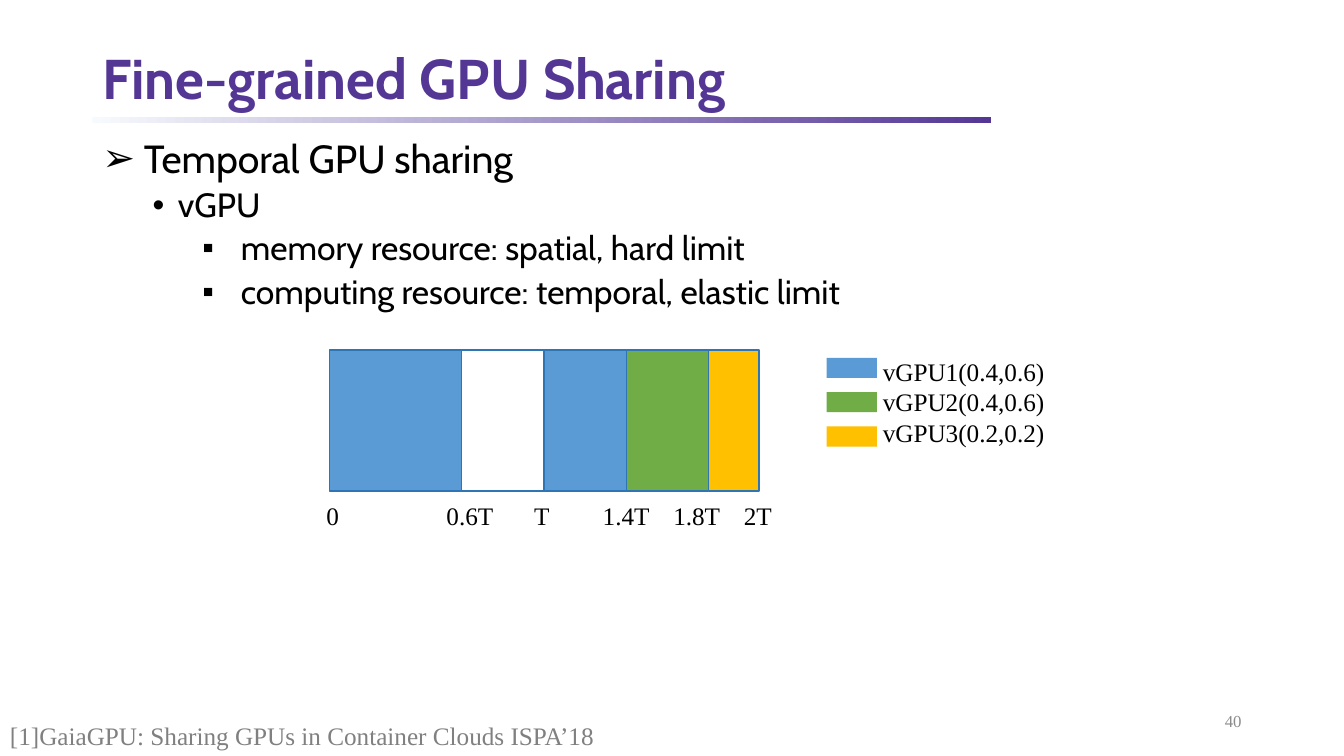
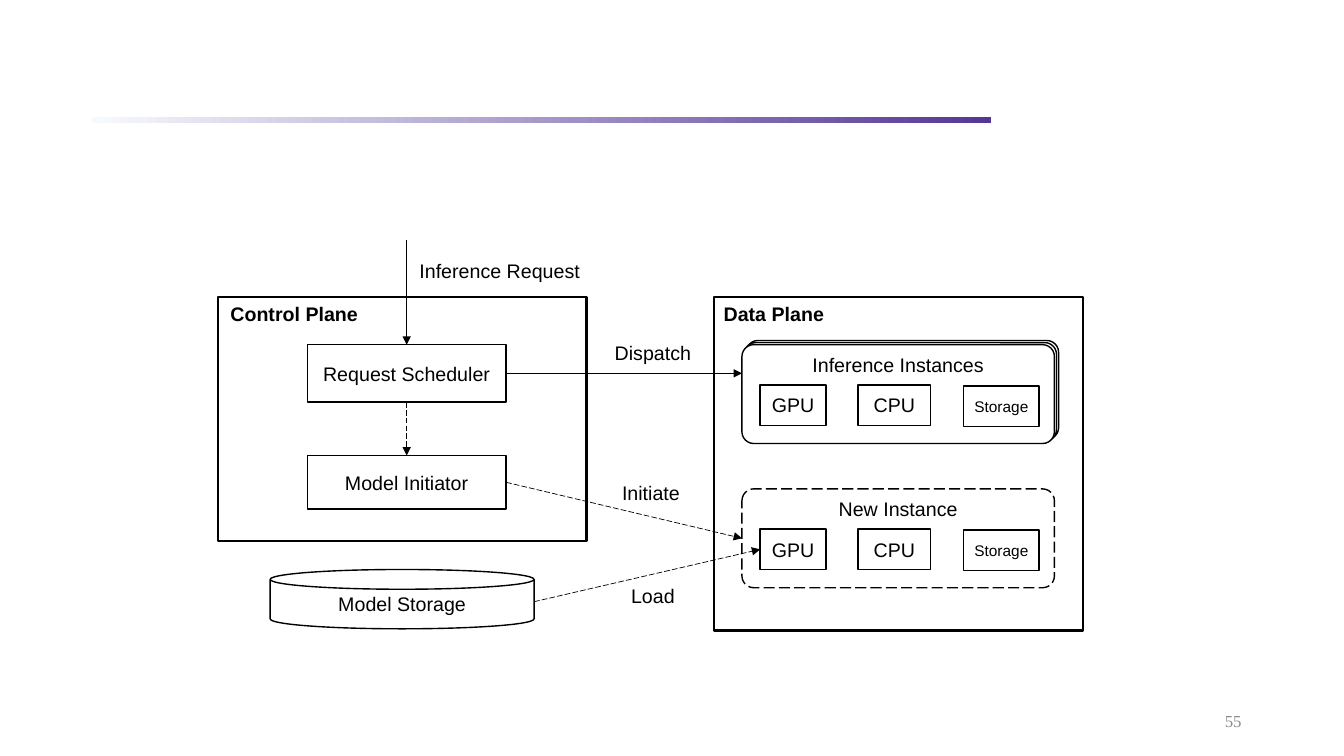
from dataclasses import dataclass

from lxml import etree
from pptx import Presentation
from pptx.dml.color import RGBColor
from pptx.enum.dml import MSO_LINE_DASH_STYLE as Dash
from pptx.enum.shapes import MSO_CONNECTOR as Conn, MSO_SHAPE as Kind
from pptx.enum.text import MSO_ANCHOR as Anchor, PP_ALIGN as Align
from pptx.oxml.ns import qn
from pptx.util import Pt


@dataclass(frozen=True)
class Theme:
    black: str = "000000"
    white: str = "FFFFFF"
    violet: str = "543795"
    pale: str = "F7FAFD"
    gray: str = "8C8C8C"
    cite: str = "808080"
    edge: str = "2E75B6"
    blue: str = "5B9BD5"
    green: str = "70AD47"
    gold: str = "FFC000"
    head: str = "Cabin"
    serif: str = "Times New Roman"
    sans: str = "Arial"
    title: int = 40
    lead: int = 28
    body: int = 24
    note: int = 18
    label: int = 14
    page: int = 12
    small: int = 11


T = Theme()


def box(slide, at, text="", kind=None, fill=None, line=None, width=1, dash=None,
        font=T.sans, size=T.label, color=T.black, bold=False,
        align=Align.LEFT, anchor=Anchor.TOP):
    """Add a shape, or a text box when no kind is given."""
    place = [Pt(v) for v in at]
    if kind is None:
        shape = slide.shapes.add_textbox(*place)
    else:
        shape = slide.shapes.add_shape(kind, *place)
        shape.shadow.inherit = False
        if fill:
            shape.fill.solid()
            shape.fill.fore_color.rgb = RGBColor.from_string(fill)
        else:
            shape.fill.background()
        if line:
            shape.line.color.rgb = RGBColor.from_string(line)
            shape.line.width = Pt(width)
            if dash:
                shape.line.dash_style = dash
        else:
            shape.line.fill.background()
        if kind == Kind.ROUNDED_RECTANGLE:
            shape.adjustments[0] = 0.12
    if text:
        frame = shape.text_frame
        frame.text = text
        frame.word_wrap = True
        frame.vertical_anchor = anchor
        if align == Align.CENTER:
            frame.margin_left = frame.margin_right = 0
        for para in frame.paragraphs:
            para.alignment = align
            for run in para.runs:
                run.font.name, run.font.size, run.font.bold = font, Pt(size), bold
                run.font.color.rgb = RGBColor.from_string(color)
    return shape


def link(slide, start, end, dash=None):
    """Draw an arrow; each end is a point or a (shape, side) pair."""
    line = slide.shapes.add_connector(Conn.STRAIGHT, 0, 0, 0, 0)
    if isinstance(start[0], (int, float)):
        line.begin_x, line.begin_y = Pt(start[0]), Pt(start[1])
    else:
        line.begin_connect(*start)
    if isinstance(end[0], (int, float)):
        line.end_x, line.end_y = Pt(end[0]), Pt(end[1])
    else:
        line.end_connect(*end)
    line.line.color.rgb = RGBColor.from_string(T.black)
    line.line.width = Pt(0.5)
    if dash:
        line.line.dash_style = dash
    props = line._element.spPr
    etree.SubElement(props.find(qn("a:ln")), qn("a:tailEnd"), type="triangle")
    etree.SubElement(props, qn("a:effectLst"))


deck = Presentation()
deck.slide_width, deck.slide_height = Pt(960), Pt(540)

# Shared frame: title, gradient rule, page number
pages = []
for title, number in [("Fine-grained GPU Sharing", "40"), ("", "55")]:
    slide = deck.slides.add_slide(deck.slide_layouts[6])
    rule = box(slide, (66, 83.8, 642, 4), kind=Kind.RECTANGLE, fill=T.violet)
    rule.fill.gradient()
    rule.fill.gradient_angle = 0
    for stop, tone in zip(rule.fill.gradient_stops, (T.pale, T.violet)):
        stop.color.rgb = RGBColor.from_string(tone)
    box(slide, (678, 500.4, 216, 28.8), number, font=T.serif, size=T.page,
        color=T.gray, align=Align.RIGHT, anchor=Anchor.MIDDLE)
    if title:
        head = box(slide, (66, 31, 828, 54), title, font=T.head, size=T.title,
                   color=T.violet, bold=True, anchor=Anchor.MIDDLE)
        head.text_frame.paragraphs[0].line_spacing = 0.9
    pages.append(slide)
share, flow = pages

# Bullets: text, size, left edge, hang, space before, mark, mark scale
items = [
    ("Temporal GPU sharing", T.lead, 29.7, 29.7, 0, "➢", 100),
    ("vGPU", T.body, 54, 18, 5, "•", 100),
    ("memory resource: spatial, hard limit", T.body, 99, 27, 5, "■", 50),
    ("computing resource: temporal, elastic limit", T.body, 99, 27, 5, "■", 50),
]
body = box(share, (66, 96, 852, 426), "\n".join(i[0] for i in items), font=T.head)
for para, (_, size, left, hang, gap, mark, scale) in zip(body.text_frame.paragraphs, items):
    para.line_spacing = 0.9
    para.space_before = Pt(gap)
    props = para._p.get_or_add_pPr()
    props.set("marL", str(Pt(left)))
    props.set("indent", str(-Pt(hang)))
    etree.SubElement(props, qn("a:buSzPct"), val=str(scale * 1000))
    etree.SubElement(props, qn("a:buFont"), typeface=T.sans)
    etree.SubElement(props, qn("a:buChar"), char=mark)
    para.runs[0].font.size = Pt(size)

# Timeline of GPU slots
x = 235.4
for wide, tone in [(94.4, T.blue), (58.8, T.white), (58.8, T.blue),
                   (58.8, T.green), (36, T.gold)]:
    box(share, (x, 250, wide, 100.8), kind=Kind.RECTANGLE, fill=tone, line=T.edge)
    x += wide
for text, left in [("0", 226), ("0.6T", 311.8), ("T", 374.4),
                   ("1.4T", 423.4), ("1.8T", 473.8), ("2T", 524.2)]:
    box(share, (left, 353.5, 51, 29), text, font=T.serif, size=T.note)

# Legend
for i, (text, tone) in enumerate([("vGPU1(0.4,0.6)", T.blue), ("vGPU2(0.4,0.6)", T.green),
                                  ("vGPU3(0.2,0.2)", T.gold)]):
    box(share, (590.4, 255.6 + 24.5 * i, 36, 14.4), kind=Kind.RECTANGLE, fill=tone)
    box(share, (623.5, 250.6 + 22 * i, 139, 29), text, font=T.serif, size=T.note)

# Citation
box(share, (0, 511.2, 868, 28.8), "[1]GaiaGPU: Sharing GPUs in Container Clouds ISPA’18",
    font=T.serif, size=T.note, color=T.cite)

# Planes
for text, left, tall, pad in [("Control Plane", 155.5, 174, 2), ("Data Plane", 509.8, 238, 0)]:
    box(flow, (left, 212.4, 263.5, tall), kind=Kind.RECTANGLE, line=T.black, width=1.5)
    box(flow, (left + pad, 212.4, 116, 24.5), text, bold=True)

# Instance cards, the first one with a stack behind it
for i in (2, 1):
    box(flow, (530 + 1.5 * i, 246.2 - 1.5 * i, 223.2, 70.6),
        kind=Kind.ROUNDED_RECTANGLE, line=T.black)
for text, top, dash in [("Inference Instances", 246.2, None),
                        ("New Instance", 349.2, Dash.LONG_DASH)]:
    card = box(flow, (530, top, 223.2, 70.6), text, Kind.ROUNDED_RECTANGLE,
               T.white, T.black, dash=dash, align=Align.CENTER)
    parts = [box(flow, (left, top + drop, wide, 28.8), part, Kind.RECTANGLE, line=T.black,
                 size=size, align=Align.CENTER, anchor=Anchor.MIDDLE)
             for part, left, drop, wide, size in [("GPU", 543, 28.8, 47, T.label),
                                                  ("CPU", 612.9, 28.8, 52, T.label),
                                                  ("Storage", 688.3, 29.5, 54, T.small)]]
gpu = parts[0]

# Control steps and model store
plan, init, store = [
    box(flow, at, text, kind, T.white, T.black, align=Align.CENTER, anchor=Anchor.MIDDLE)
    for text, kind, at in [
        ("Request Scheduler", Kind.RECTANGLE, (219.5, 246.2, 142, 41)),
        ("Model Initiator", Kind.RECTANGLE, (219.5, 325.4, 142, 38.2)),
        ("Model Storage", Kind.FLOWCHART_MAGNETIC_DISK, (193, 406.8, 188.5, 42.4))]]

# Arrows and their labels
link(flow, (290.5, 171.4), (plan, 0))
link(flow, (plan, 2), (init, 0), Dash.LONG_DASH)
link(flow, (plan, 3), (530, 266.7))
link(flow, (init, 3), (card, 1), Dash.LONG_DASH)
link(flow, (381.5, 429.8), (gpu, 1), Dash.LONG_DASH)
for text, left, top in [("Inference Request", 288, 181.4), ("Dispatch", 397.4, 239.8),
                        ("Initiate", 396, 339.8), ("Load", 397.4, 413.3)]:
    box(flow, (left, top, 138, 24.5), text, align=Align.CENTER)

deck.save("out.pptx")
